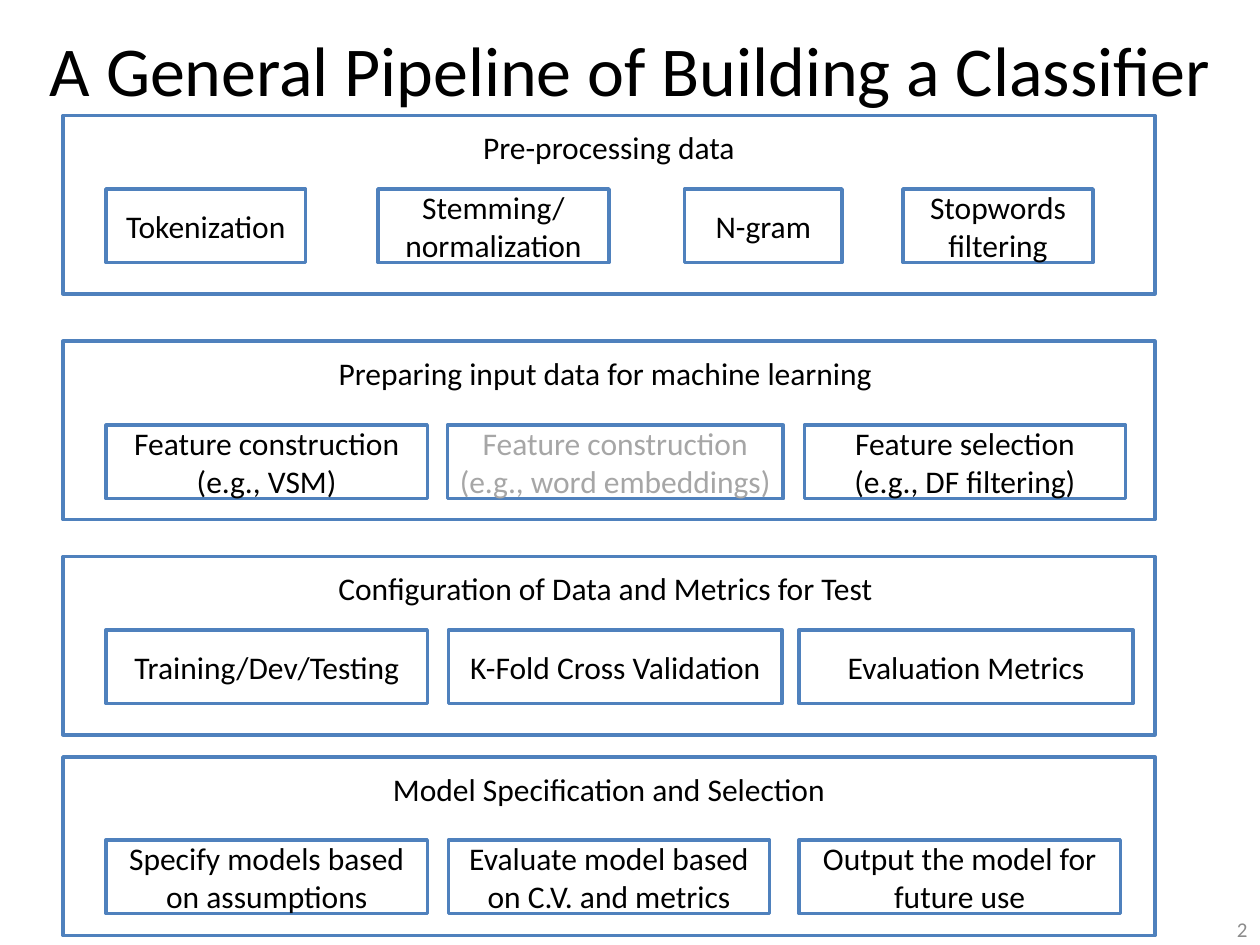
from pptx import Presentation
from pptx.dml.color import RGBColor
from pptx.enum.shapes import MSO_SHAPE
from pptx.enum.text import MSO_ANCHOR, PP_ALIGN
from pptx.util import Inches, Pt

RECT = MSO_SHAPE.RECTANGLE
TOP, MIDDLE = MSO_ANCHOR.TOP, MSO_ANCHOR.MIDDLE
CENTER, RIGHT = PP_ALIGN.CENTER, PP_ALIGN.RIGHT

COLORS = {"paper": "FFFFFF", "border": "4F81BD", "text": "000000",
          "muted": "A6A6A6", "number": "8C8C8C"}
FONT = "Calibri"

# The slide is a grid of 120 columns and 90 rows
UNIT = Inches(10) / 120
PANEL_LEFT, PANEL_WIDTH, PANEL_HEIGHT = 6, 104, 17
STEP_HEIGHT = 7

# Each stage: heading, top row, row of the steps inside the panel,
# steps as (column inside the panel, width, paragraphs, colour)
STAGES = [
    ("Pre-processing data", 11, 7, [
        (4.1, 19, ["Tokenization"], "text"),
        (30, 22, ["Stemming/", "normalization"], "text"),
        (59.2, 15, ["N-gram"], "text"),
        (80, 18.1, ["Stopwords filtering"], "text")]),
    ("Preparing input data for machine learning ", 32.5, 8, [
        (4.1, 30.6, ["Feature construction (e.g., VSM)"], "text"),
        (36.6, 32, ["Feature construction (e.g., word embeddings)"], "muted"),
        (70.6, 30.6, ["Feature selection", "(e.g., DF filtering)"], "text")]),
    ("Configuration of Data and Metrics for Test ", 53, 7, [
        (4.1, 30.6, ["Training/Dev/Testing"], "text"),
        (36.7, 31.8, ["K-Fold Cross Validation"], "text"),
        (70.1, 31.8, ["Evaluation Metrics"], "text")]),
    ("Model Specification and Selection", 72.1, 7.9, [
        (4.1, 30.6, ["Specify models based on assumptions"], "text"),
        (36.7, 30.6, ["Evaluate model based on C.V. and metrics"], "text"),
        (70.1, 30.6, ["Output the model for future use"], "text")]),
]


def grid(*cells):
    return [round(c * UNIT) for c in cells]


def rgb(name):
    return RGBColor.from_string(COLORS[name])


def write(sp, lines, size, color="text", align=CENTER, anchor=MIDDLE):
    tf = sp.text_frame
    tf.word_wrap = True
    tf.vertical_anchor = anchor
    for i, line in enumerate(lines):
        p = tf.paragraphs[0] if i == 0 else tf.add_paragraph()
        p.alignment = align
        r = p.add_run()
        r.text = line
        r.font.name = FONT
        r.font.size = Pt(size)
        r.font.color.rgb = rgb(color)
    return tf


def add_label(s, box, text, size, **style):
    write(s.shapes.add_textbox(*grid(*box)), [text], size, **style)


def add_box(s, box, lines, **style):
    sp = s.shapes.add_shape(RECT, *grid(*box))
    sp.shadow.inherit = False
    sp.fill.solid()
    sp.fill.fore_color.rgb = rgb("paper")
    sp.line.color.rgb = rgb("border")
    sp.line.width = Pt(2)
    return write(sp, lines, 18, **style)


def add_stage(s, left, top, heading, step_row, steps):
    # Panel with its heading at the top
    tf = add_box(s, (left, top, PANEL_WIDTH, PANEL_HEIGHT), [heading], anchor=TOP)
    tf.margin_top = Inches(0.1)
    # Steps inside the panel
    for col, width, lines, color in steps:
        add_box(s, (left + col, top + step_row, width, STEP_HEIGHT), lines, color=color)


def main():
    prs = Presentation()
    prs.slide_width, prs.slide_height = grid(120, 90)
    s = prs.slides.add_slide(prs.slide_layouts[6])

    # Title and slide number
    add_label(s, (0, 0, 120, 13), "A General Pipeline of Building a Classifier", 40)
    add_label(s, (92, 87, 28, 3), "2", 12, color="number", align=RIGHT)

    # Pipeline stages
    for heading, top, step_row, steps in STAGES:
        add_stage(s, PANEL_LEFT, top, heading, step_row, steps)

    prs.save("out.pptx")


if __name__ == "__main__":
    main()
